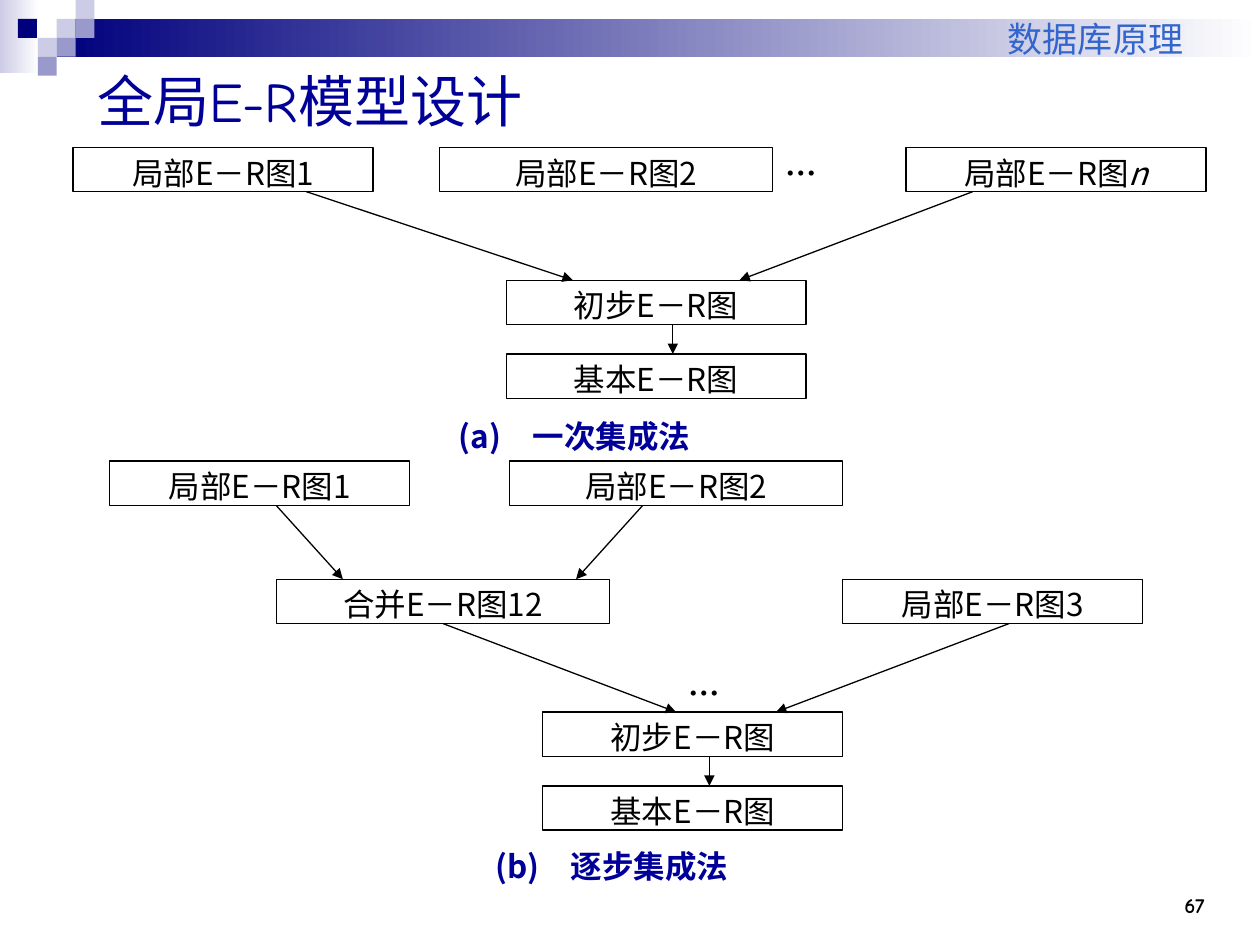
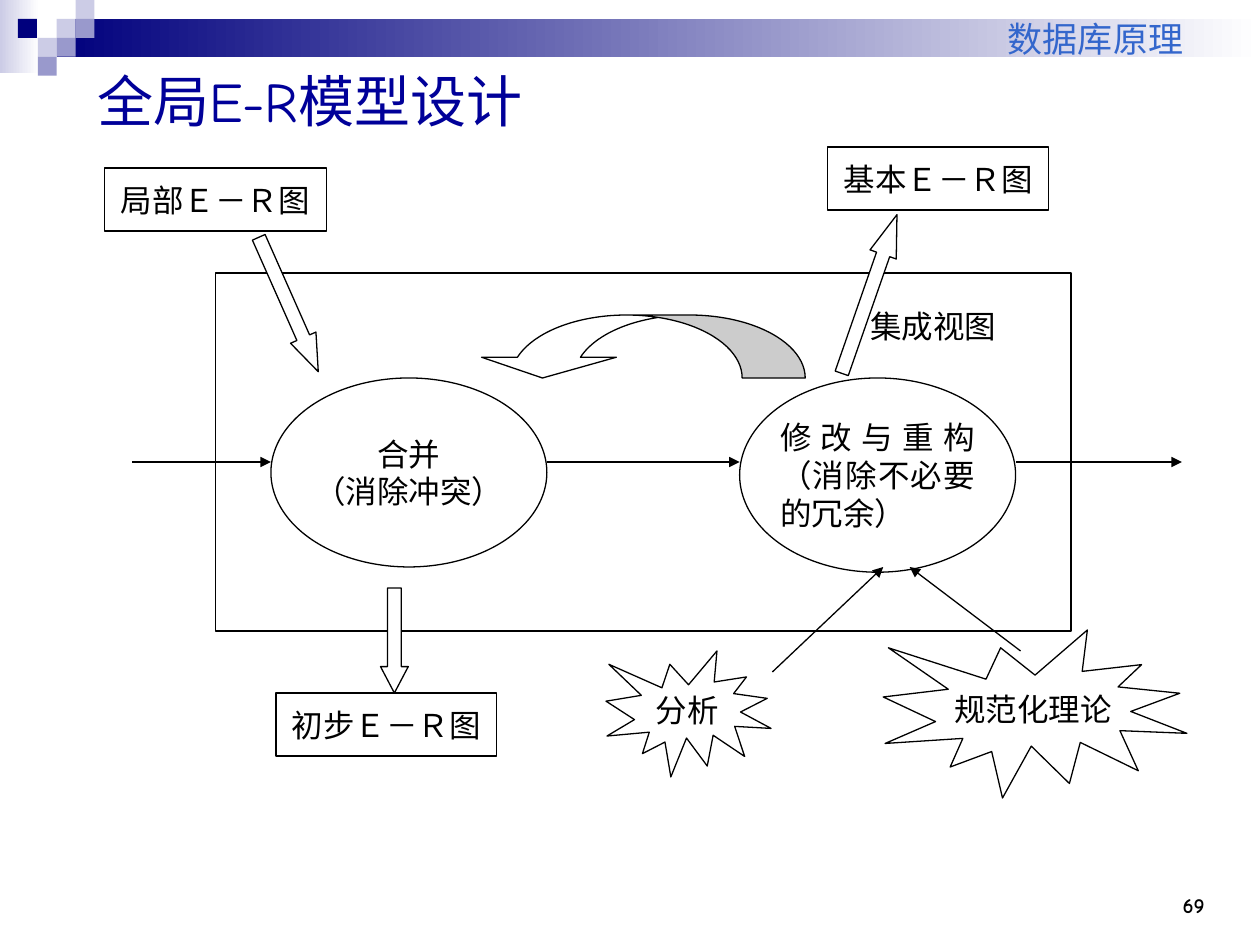
from dataclasses import dataclass

import pptx
import pptx.dml.color
import pptx.enum.shapes
import pptx.enum.text
import pptx.oxml
import pptx.oxml.ns
import pptx.util

KIND = pptx.enum.shapes.MSO_SHAPE
ALIGN = pptx.enum.text.PP_ALIGN
ANCHOR = pptx.enum.text.MSO_ANCHOR
BLACK, WHITE = "000000", "FFFFFF"
NAVY, BLUE, SKY = "00007D", "000099", "3366CC"
LILAC, MIST = "9999CC", "CCCCE6"
COMIC, SANS, SERIF = "Comic Neue", "Noto Sans CJK SC", "Times New Roman"


@dataclass(frozen=True)
class Grid:
    left: float
    top: float
    col: float
    row: float

    def point(self, x: float, y: float) -> tuple:
        return (pptx.util.Inches(self.left + x * self.col),
                pptx.util.Inches(self.top + y * self.row))

    def area(self, x: float, y: float, w: float, h: float) -> tuple:
        return (*self.point(x, y),
                pptx.util.Inches(w * self.col), pptx.util.Inches(h * self.row))


@dataclass(frozen=True)
class Style:
    font: str
    size: int = 18
    color: str = BLACK
    bold: bool = False
    align: ALIGN = ALIGN.CENTER
    anchor: ANCHOR = ANCHOR.MIDDLE
    pad: tuple = (0.1, 0.05)
    wrap: bool = False


@dataclass(frozen=True)
class Node:
    x: float
    y: float
    w: float
    h: float
    text: str = ""
    style: Style = Style(SERIF, pad=(0, 0))
    kind: KIND = KIND.RECTANGLE
    fill: tuple = (WHITE,)
    edge: bool = True
    turn: float = 0
    adjust: tuple = ()
    slant: str = ""


@dataclass(frozen=True)
class Arrow:
    x: float
    y: float
    to_x: float
    to_y: float
    source: str = ""


INCH = Grid(0, 0, 1, 1)
TILE = Grid(0, 0, 0.15, 0.15)
ONCE = Grid(0.58, 1.17, 2.38 / 9, 0.82 / 7)
STEPS = Grid(0.87, 3.66, ONCE.col, ONCE.row)
FLOW = Grid(0, 0, 10 / 100, 7.5 / 90)

TITLE = Style(COMIC, 32, BLUE, align=ALIGN.LEFT, wrap=True)
COURSE = Style(COMIC, 20, SKY, align=ALIGN.RIGHT, anchor=ANCHOR.BOTTOM, wrap=True)
PAGE = Style(COMIC, 12, bold=True, align=ALIGN.RIGHT, anchor=ANCHOR.BOTTOM, wrap=True)
LABEL = Style(SANS, anchor=ANCHOR.TOP, wrap=True)
DOTS = Style(SANS, bold=True, align=ALIGN.JUSTIFY, anchor=ANCHOR.TOP, wrap=True)
NOTE = Style(SANS, color=BLUE, bold=True, align=ALIGN.JUSTIFY,
             anchor=ANCHOR.TOP, wrap=True)
PROSE = Style(SERIF, align=ALIGN.JUSTIFY, pad=(0, 0), wrap=True)


def tint(code: str) -> pptx.dml.color.RGBColor:
    return pptx.dml.color.RGBColor.from_string(code)


def write(frame, text: str, style: Style, slant: str = "") -> None:
    frame.auto_size = pptx.enum.text.MSO_AUTO_SIZE.NONE
    frame.word_wrap = style.wrap
    frame.vertical_anchor = style.anchor
    side, end = map(pptx.util.Inches, style.pad)
    frame.margin_left = frame.margin_right = side
    frame.margin_top = frame.margin_bottom = end
    frame.text = text
    if slant:
        run = frame.paragraphs[-1].add_run()
        run.text = slant
        run.font.italic = True
    for para in frame.paragraphs:
        para.alignment = style.align
        para.font.name = style.font
        para.font.size = pptx.util.Pt(style.size)
        para.font.bold = style.bold
        para.font.color.rgb = tint(style.color)


def paint(fill, codes: tuple) -> None:
    if len(codes) == 1:
        fill.solid()
        fill.fore_color.rgb = tint(codes[0])
        return
    fill.gradient()
    fill.gradient_angle = 0
    for stop, code in zip(fill.gradient_stops, codes):
        stop.color.rgb = tint(code)


def draw(slide, grid: Grid, node: Node):
    shape = slide.shapes.add_shape(
        node.kind, *grid.area(node.x, node.y, node.w, node.h))
    shape.shadow.inherit = False
    shape.rotation = node.turn
    for i, value in enumerate(node.adjust):
        shape.adjustments[i] = value
    paint(shape.fill, node.fill)
    if node.edge:
        shape.line.color.rgb = tint(BLACK)
        shape.line.width = pptx.util.Pt(0.75)
    else:
        shape.line.fill.background()
    if node.text:
        write(shape.text_frame, node.text, node.style, node.slant)
    return shape


def link(slide, grid: Grid, arrow: Arrow, shapes: dict) -> None:
    line = slide.shapes.add_connector(
        pptx.enum.shapes.MSO_CONNECTOR.STRAIGHT,
        *grid.point(arrow.x, arrow.y), *grid.point(arrow.to_x, arrow.to_y))
    if arrow.source:
        line.begin_connect(shapes[arrow.source], 2)
    line.line.color.rgb = tint(BLACK)
    line.line.width = pptx.util.Pt(0.75)
    space = pptx.oxml.ns.nsdecls("a")
    line.line._get_or_add_ln().append(
        pptx.oxml.parse_xml(f'<a:tailEnd {space} type="triangle"/>'))
    line._element.spPr.append(pptx.oxml.parse_xml(f"<a:effectLst {space}/>"))


def chart(slide, grid: Grid, nodes: list, arrows: list) -> None:
    shapes = {node.text: draw(slide, grid, node) for node in nodes}
    for arrow in arrows:
        link(slide, grid, arrow, shapes)


def label(slide, area: tuple, text: str, style: Style) -> None:
    box = slide.shapes.add_textbox(*INCH.area(*area))
    write(box.text_frame, text, style)


def start(deck, page: str):
    slide = deck.slides.add_slide(deck.slide_layouts[5])
    for node in BAND:
        draw(slide, TILE, node)
    label(slide, (8.83, 6.83, 0.83, 0.5), page, PAGE)
    label(slide, (3.83, 0, 5.66, 0.52), "数据库原理", COURSE)
    title = slide.shapes.title
    title.left, title.top, title.width, title.height = INCH.area(0.67, 0.42, 9, 0.75)
    write(title.text_frame, "全局E-R模型设计", TITLE)
    return slide


def box(x: float, y: float, text: str, w: float = 9, slant: str = "") -> Node:
    return Node(x, y, w, 3, text, LABEL, slant=slant)


def plain(x: float, y: float, w: float, h: float, text: str, style: Style) -> Node:
    return Node(x, y, w, h, text, style, edge=False)


BAND = [
    Node(0, 0, 2.07, 3.87, fill=(MIST, WHITE), edge=False),
    Node(3, 1, 63.67, 2, fill=(NAVY, WHITE), edge=False),
    *(Node(x, y, 1, 1, fill=(code,), edge=False) for x, y, code in (
        (3, 1, MIST), (4, 0, MIST), (4, 1, LILAC), (2, 2, MIST),
        (0.95, 1, NAVY), (3, 2, LILAC), (2, 3, LILAC))),
]

ONCE_NODES = [
    plain(11.2, 17.85, 15, 3, "(a)　一次集成法", NOTE),
    box(0, 0, "局部E－R图1"),
    plain(21, 0, 3, 3, "…", DOTS),
    box(11, 0, "局部E－R图2", w=10),
    box(25, 0, "局部E－R图", slant="n"),
    box(13, 9, "初步E－R图"),
    box(13, 14, "基本E－R图"),
]
ONCE_ARROWS = [Arrow(7, 3, 15, 9), Arrow(27, 3, 20, 9), Arrow(18, 12, 18, 14)]

STEP_NODES = [
    box(0, 0, "局部E－R图1"),
    box(12, 0, "局部E－R图2", w=10),
    box(5, 8, "合并E－R图12", w=10),
    box(22, 8, "局部E－R图3"),
    plain(17, 14, 3, 4, "…", DOTS),
    box(13, 17, "初步E－R图"),
    box(13, 22, "基本E－R图"),
    plain(11.2, 25.7, 15, 3, "(b)　逐步集成法", NOTE),
]
STEP_ARROWS = [
    Arrow(5, 3, 7, 8), Arrow(16, 3, 14, 8),
    Arrow(10, 11, 17, 17, "合并E－R图12"),
    Arrow(27, 11, 20, 17), Arrow(18, 20, 18, 22),
]

FLOW_NODES = [
    Node(8.3, 16, 17.6, 6, "局部Ｅ－Ｒ图"),
    Node(17.1, 26, 67.9, 34.1),
    Node(21.5, 36, 21.9, 18, "合并\n（消除冲突）", kind=KIND.OVAL),
    Node(58.7, 36, 21.9, 18.5, "修改与重构（消除不必要的冗余）", PROSE, KIND.OVAL),
    Node(67.5, 28, 13.1, 6, "集成视图", edge=False),
    Node(37.7, 30, 26.2, 6, kind=KIND.CURVED_UP_ARROW, turn=180,
         adjust=(1.07, 2.14, 0.33)),
    Node(65.7, 14, 17.5, 6, "基本Ｅ－Ｒ图"),
    Node(30.2, 56, 2.2, 10, kind=KIND.DOWN_ARROW, adjust=(0.5, 0.95)),
    Node(21.9, 66, 17.5, 6, "初步Ｅ－Ｒ图"),
    Node(48.1, 62, 13.1, 12, "分析", kind=KIND.EXPLOSION1),
    Node(70.1, 60, 24.1, 16, "规范化理论", kind=KIND.EXPLOSION1),
    Node(67.9, 20, 2.2, 16, kind=KIND.UP_ARROW, turn=19.2, adjust=(0.5, 1.52)),
    Node(21.8, 22, 2.2, 14, kind=KIND.DOWN_ARROW, turn=336.1, adjust=(0.5, 1.34)),
]
FLOW_ARROWS = [
    Arrow(10.5, 44, 21.5, 44), Arrow(43.4, 44, 58.7, 44), Arrow(80.6, 44, 93.8, 44),
    Arrow(61.3, 64, 70.1, 54), Arrow(81, 62, 72.2, 54),
]


def main() -> None:
    deck = pptx.Presentation()
    deck.slide_width, deck.slide_height = INCH.point(10, 7.5)
    merge = start(deck, "67")
    chart(merge, ONCE, ONCE_NODES, ONCE_ARROWS)
    chart(merge, STEPS, STEP_NODES, STEP_ARROWS)
    chart(start(deck, "69"), FLOW, FLOW_NODES, FLOW_ARROWS)
    deck.save("out.pptx")


if __name__ == "__main__":
    main()
